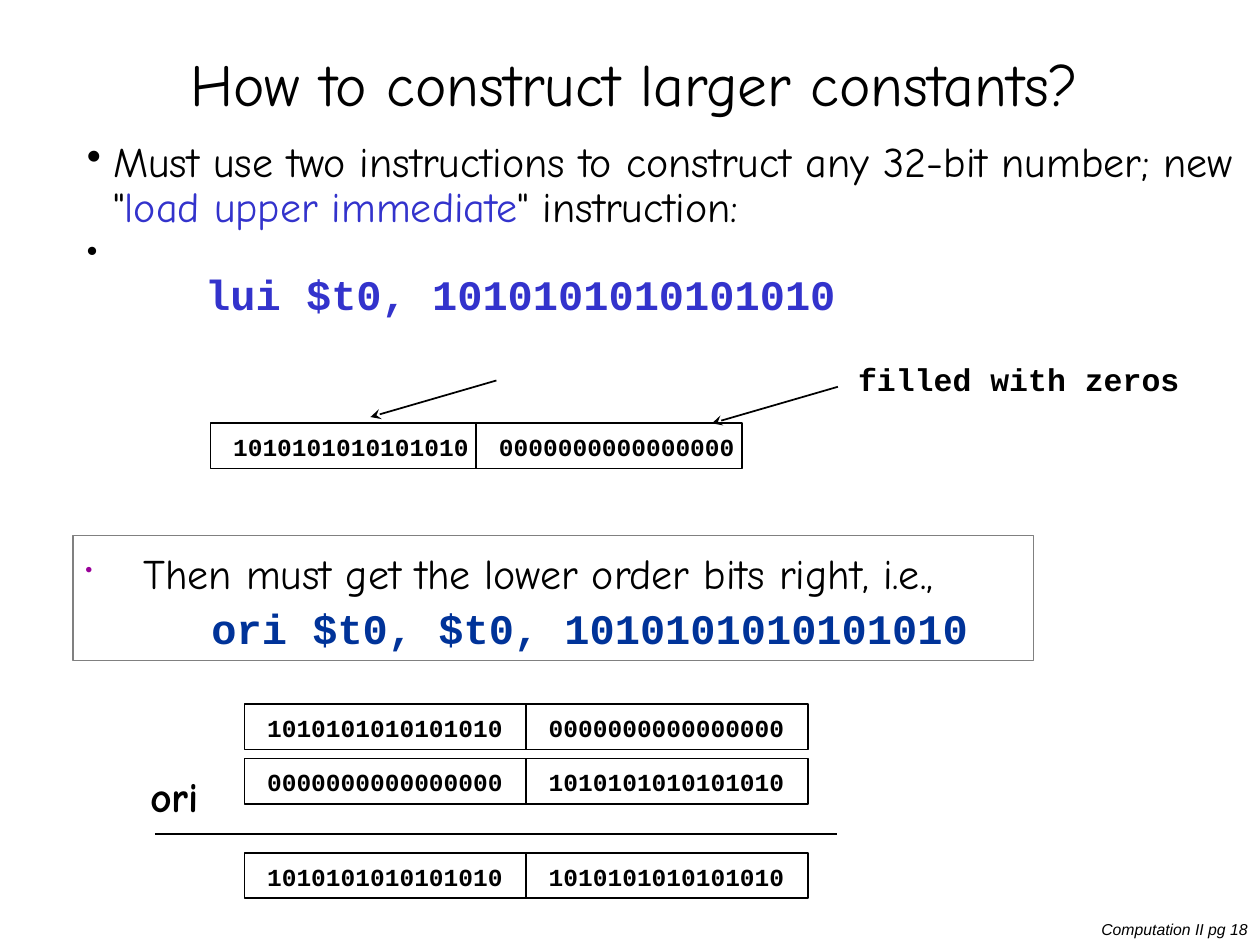
import lxml.etree
import pptx
import pptx.dml.color
import pptx.enum.shapes
import pptx.enum.text
import pptx.oxml.ns
import pptx.util
from dataclasses import dataclass

ALIGN = pptx.enum.text.PP_ALIGN
ANCHOR = pptx.enum.text.MSO_ANCHOR
Pt = pptx.util.Pt
qn = pptx.oxml.ns.qn

# The slide is a grid of 100 columns by 75 rows; all lengths count grid units.
UNIT = pptx.util.Inches(0.1)
COLS, ROWS = 100, 75
PAD = (1, 0.5)
TIGHT = (0.2, 0.3)


@dataclass(frozen=True)
class Theme:
    black: str = "000000"
    violet: str = "3333CC"
    navy: str = "003399"
    purple: str = "990099"
    gray: str = "808080"
    hand: str = "Comic Neue"
    code: str = "Courier New"
    plain: str = "Arial"
    title: int = 34
    body: int = 24
    note: int = 18
    bits: int = 14
    footer: int = 9


T = Theme()


def grid(*values):
    return [round(v * UNIT) for v in values]


def set_all(obj, values):
    for name, value in values.items():
        setattr(obj, name, value)


def rgb(color):
    return pptx.dml.color.RGBColor.from_string(color)


def add_run(p, text, size, font=T.hand, color=T.black, **fmt):
    r = p.add_run()
    r.text = text
    set_all(r.font, {"size": Pt(size), "name": font, **fmt})
    r.font.color.rgb = rgb(color)


def set_frame(tf, pad, **fmt):
    dx, dy = grid(*pad)
    set_all(tf, {"margin_left": dx, "margin_right": dx, "margin_top": dy,
                 "margin_bottom": dy, "word_wrap": True, **fmt})


def add_text(slide, box, pad=PAD, **fmt):
    """Add a text box and return its text frame."""
    tf = slide.shapes.add_textbox(*grid(*box)).text_frame
    set_frame(tf, pad, **fmt)
    return tf


def set_indent(p, left, bullet=None, color=None, size=None):
    """Indent a paragraph; a bullet hangs at the left edge."""
    pPr = p._p.get_or_add_pPr()
    pPr.set("marL", str(grid(left)[0]))
    pPr.set("indent", str(grid(-left)[0] if bullet else 0))
    if color:
        bu = lxml.etree.SubElement(pPr, qn("a:buClr"))
        lxml.etree.SubElement(bu, qn("a:srgbClr")).set("val", color)
    if size:
        lxml.etree.SubElement(pPr, qn("a:buSzPct")).set("val", str(size * 1000))
    if bullet:
        lxml.etree.SubElement(pPr, qn("a:buChar")).set("char", bullet)


def add_box(slide, box, color=T.black, width=1):
    sp = slide.shapes.add_shape(pptx.enum.shapes.MSO_SHAPE.RECTANGLE, *grid(*box))
    sp.shadow.inherit = False
    sp.fill.background()
    sp.line.color.rgb = rgb(color)
    sp.line.width = Pt(width)
    return sp


def add_line(slide, ends, arrow=False):
    line = slide.shapes.add_connector(
        pptx.enum.shapes.MSO_CONNECTOR.STRAIGHT, *grid(*ends))
    line.line.color.rgb = rgb(T.black)
    line.line.width = Pt(1)
    spPr = line._element.spPr
    if arrow:
        lxml.etree.SubElement(spPr.find(qn("a:ln")), qn("a:tailEnd")).set("type", "stealth")
    lxml.etree.SubElement(spPr, qn("a:effectLst"))


def add_code_label(slide, box, text, size, spacing):
    p = add_text(slide, box, TIGHT, word_wrap=False).paragraphs[0]
    set_all(p, {"line_spacing": Pt(spacing), "space_before": Pt(6), "space_after": Pt(6)})
    add_run(p, text, size, T.code, bold=True)


def add_register(slide, left, top, width, halves):
    """Draw a 32-bit register as two 16-bit cells."""
    for i, bits in enumerate(halves):
        x = left + i * width
        add_box(slide, (x, top, width, 3.6))
        add_code_label(slide, (x + 1.6, top - 0.2, width, 5.9), bits, T.bits, 21)


def add_title(slide, text):
    sp = slide.shapes.title
    set_all(sp, dict(zip(("left", "top", "width", "height"), grid(5, 1.7, 90.8, 10.8))))
    set_frame(sp.text_frame, PAD, vertical_anchor=ANCHOR.MIDDLE)
    p = sp.text_frame.paragraphs[0]
    set_all(p, {"alignment": ALIGN.CENTER, "line_spacing": 0.8})
    add_run(p, text, T.title)


def add_body(slide, code):
    tf = add_text(slide, (5.9, 10.7, 94.1, 18.3))
    intro, lui = tf.paragraphs[0], tf.add_paragraph()
    for p, left in ((intro, 2.1), (lui, 9.4)):
        set_all(p, {"line_spacing": 0.9, "space_before": Pt(4.8)})
        set_indent(p, left, "•")
    add_run(intro, 'Must use two instructions to construct any 32-bit number; new "', T.body)
    add_run(intro, "load upper immediate", T.body, color=T.violet)
    add_run(intro, '" instruction:', T.body)
    lui.add_line_break()
    add_run(lui, code, T.body, T.code, T.violet, bold=True)


def add_ori_step(slide, code):
    tf = add_box(slide, (5.8, 42.5, 76.2, 9.9), T.gray, 0.75).text_frame
    set_frame(tf, PAD, vertical_anchor=ANCHOR.MIDDLE)
    text, ori = tf.paragraphs[0], tf.add_paragraph()
    set_all(text, {"alignment": ALIGN.LEFT, "line_spacing": 1.1, "space_before": Pt(4.8)})
    set_all(ori, {"alignment": ALIGN.LEFT, "line_spacing": 1.1})
    set_indent(text, 4.6, "•", T.purple, 50)
    set_indent(ori, 10)
    add_run(text, "Then must get the lower order bits right, i.e.,", T.body)
    add_run(ori, code, T.body, T.code, T.navy, bold=True)


def add_ori_sum(slide, bits, zeros):
    rows = ((55.9, (bits, zeros)), (60.2, (zeros, bits)), (67.7, (bits, bits)))
    for top, halves in rows:
        add_register(slide, 19.4, top, 22.35, halves)
    add_line(slide, (12.3, 66.2, 66.4, 66.2))
    p = add_text(slide, (7.6, 62.6, 12.5, 3.6), TIGHT).paragraphs[0]
    set_all(p, {"alignment": ALIGN.CENTER, "line_spacing": Pt(16)})
    add_run(p, "ori", T.body, bold=True)


def add_footer(slide, text):
    p = add_text(slide, (85, 72.5, 15, 2.5)).paragraphs[0]
    p.alignment = ALIGN.RIGHT
    add_run(p, text, T.footer, T.plain, italic=True)


def main():
    prs = pptx.Presentation()
    prs.slide_width, prs.slide_height = grid(COLS, ROWS)
    slide = prs.slides.add_slide(prs.slide_layouts[5])
    bits, zeros = "10" * 8, "0" * 16

    add_title(slide, "How to construct larger constants?")
    add_body(slide, f"lui $t0, {bits}")
    add_register(slide, 16.7, 33.6, 21.1, (bits, zeros))
    for x, y in ((39.4, 30.2), (66.5, 30.7)):
        add_line(slide, (x, y, x - 10, y + 2.9), arrow=True)
    add_code_label(slide, (67.9, 27.5, 32, 6.7), "filled with zeros", T.note, 27)
    add_ori_step(slide, f"ori $t0, $t0, {bits}")
    add_ori_sum(slide, bits, zeros)
    add_footer(slide, "Computation II pg 18")
    prs.save("out.pptx")


if __name__ == "__main__":
    main()
